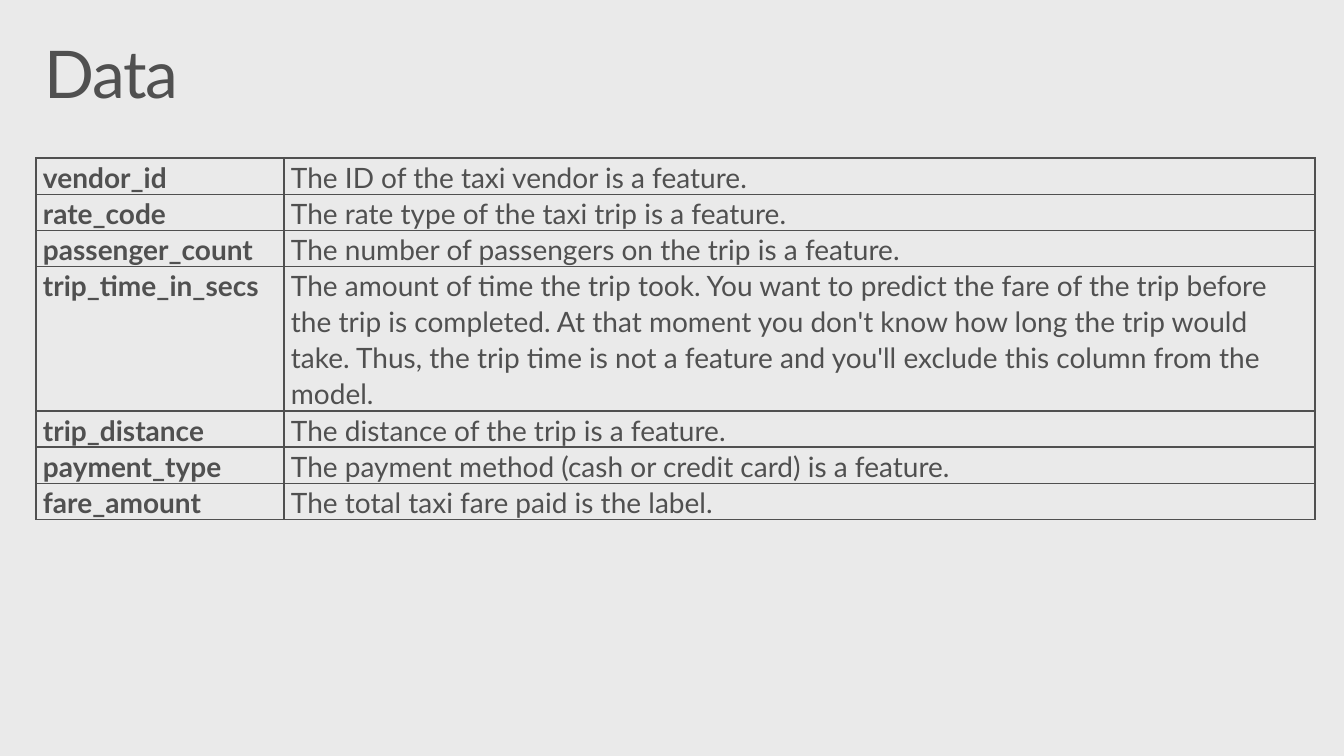
from lxml import etree
from pptx import Presentation
from pptx.dml.color import RGBColor
from pptx.enum.text import MSO_ANCHOR
from pptx.oxml.ns import qn
from pptx.util import Pt

TOP = MSO_ANCHOR.TOP
EMU_PER_PX = 914400 / 100.8
COLORS = {"background": "EAEAEA", "ink": "505050"}
FONT = "Lato"
BORDER_SIDES = ("a:lnL", "a:lnR", "a:lnT", "a:lnB")

COLUMN_WIDTHS = (248, 1031)
LINE_HEIGHT = 36
FIELDS = [
    ("vendor_id", "The ID of the taxi vendor is a feature."),
    ("rate_code", "The rate type of the taxi trip is a feature."),
    ("passenger_count", "The number of passengers on the trip is a feature."),
    ("trip_time_in_secs",
     "The amount of time the trip took. You want to predict the fare of the trip "
     "before the trip is completed. At that moment you don't know how long the trip "
     "would take. Thus, the trip time is not a feature and you'll exclude this "
     "column from the model."),
    ("trip_distance", "The distance of the trip is a feature."),
    ("payment_type", "The payment method (cash or credit card) is a feature."),
    ("fare_amount", "The total taxi fare paid is the label."),
]


def px(length):
    return round(length * EMU_PER_PX)


def rgb(name):
    return RGBColor.from_string(COLORS[name])


class DataSlide:
    def __init__(self, deck):
        self.slide = deck.slides.add_slide(deck.slide_layouts[6])
        fill = self.slide.background.fill
        fill.solid()
        fill.fore_color.rgb = rgb("background")

    def set_text(self, frame, text, size, bold, spacing):
        frame.word_wrap = True
        paragraph = frame.paragraphs[0]
        paragraph.text = text
        paragraph.line_spacing = spacing
        font = paragraph.font
        font.name, font.size, font.bold = FONT, Pt(size), bold
        font.color.rgb = rgb("ink")
        return paragraph

    def title(self, text, left, top, width, height):
        box = self.slide.shapes.add_textbox(px(left), px(top), px(width), px(height))
        frame = box.text_frame
        frame.vertical_anchor = TOP
        frame.margin_left = frame.margin_right = px(16)
        frame.margin_top = frame.margin_bottom = px(10)
        heading = self.set_text(frame, text, 47, False, 0.9)
        heading.runs[0]._r.get_or_add_rPr().set("spc", "-100")

    def border(self, cell):
        properties = cell._tc.get_or_add_tcPr()
        for position, side in enumerate(BORDER_SIDES):
            line = etree.Element(qn(side), w=str(Pt(1)))
            fill = etree.SubElement(line, qn("a:solidFill"))
            etree.SubElement(fill, qn("a:srgbClr"), val=COLORS["ink"])
            properties.insert(position, line)

    def table(self, rows, left, top, widths):
        frame = self.slide.shapes.add_table(
            len(rows), len(widths), px(left), px(top),
            px(sum(widths)), px(LINE_HEIGHT * len(rows)))
        table = frame.table
        table.first_row = table.horz_banding = False
        for column, width in zip(table.columns, widths):
            column.width = px(width)
        for row, texts in zip(table.rows, rows):
            row.height = px(LINE_HEIGHT)
            for index, (cell, text) in enumerate(zip(row.cells, texts)):
                cell.fill.background()
                cell.vertical_anchor = TOP
                cell.margin_left = cell.margin_right = px(7)
                cell.margin_top = cell.margin_bottom = 0
                self.set_text(cell.text_frame, text, 20, index == 0, 1.07)
                self.border(cell)


def main():
    deck = Presentation()
    deck.slide_width, deck.slide_height = px(1344), px(756)
    page = DataSlide(deck)
    page.table(FIELDS, 36, 158, COLUMN_WIDTHS)
    page.title("Data", 29, 32, 1285, 99)
    deck.save("out.pptx")


if __name__ == "__main__":
    main()
